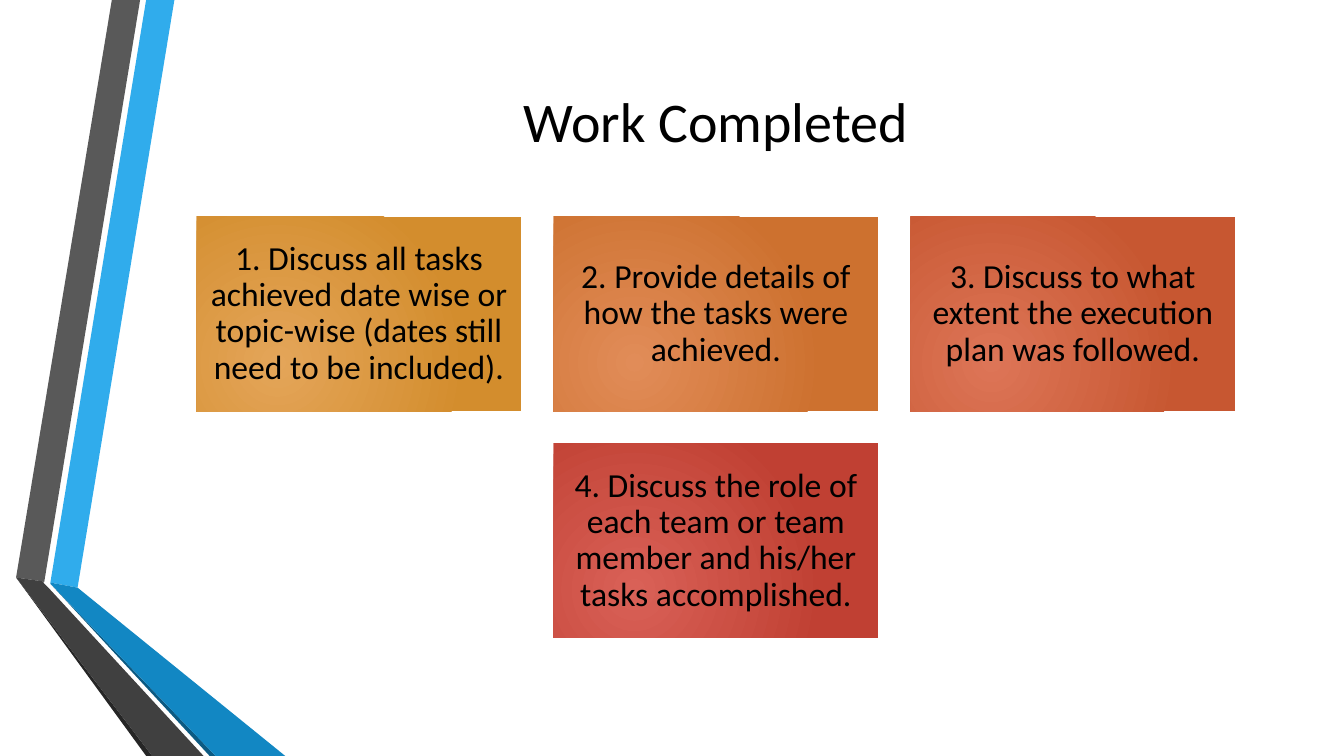
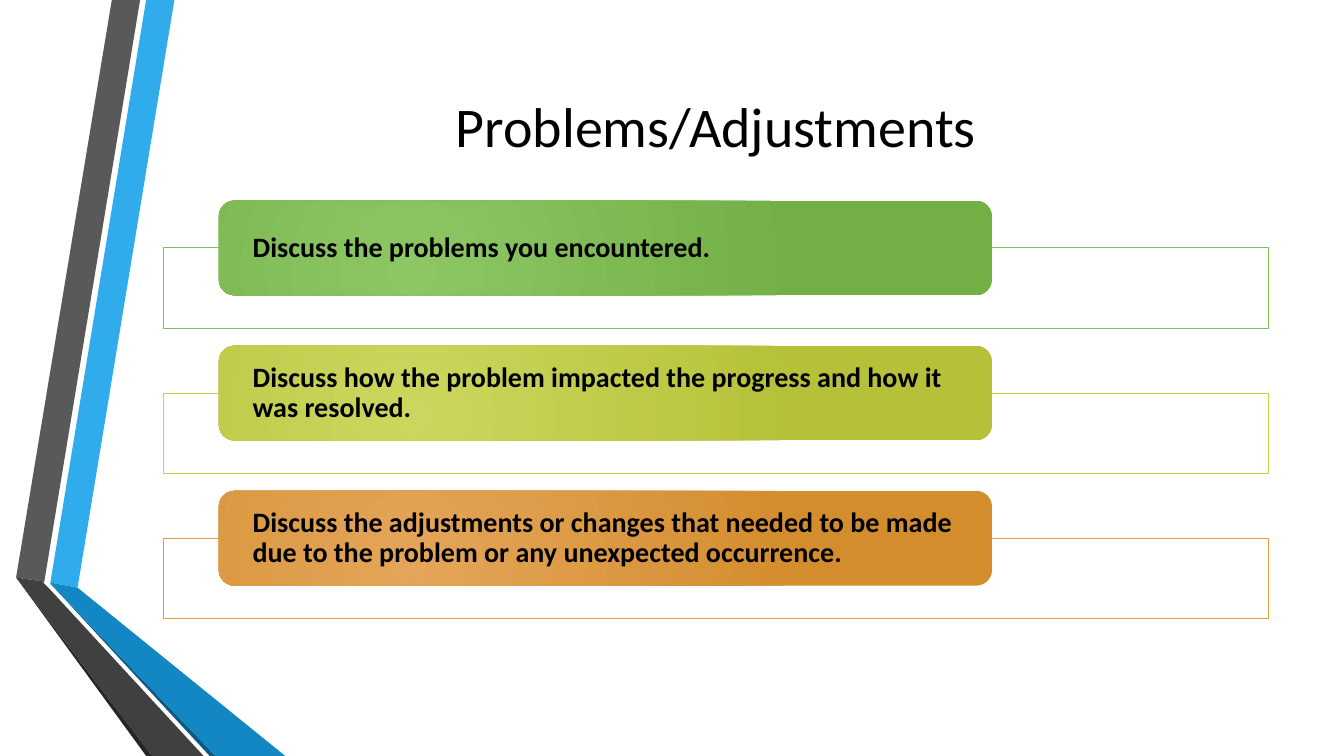
from lxml import etree
from pptx import Presentation
from pptx.dml.color import RGBColor
from pptx.enum.shapes import MSO_SHAPE as Shape
from pptx.enum.text import MSO_ANCHOR as Anchor, PP_ALIGN as Align
from pptx.oxml import parse_xml
from pptx.oxml.ns import nsdecls, qn
from pptx.util import Pt

PX = 9144
SLIDE_WIDTH, SLIDE_HEIGHT = 1333, 750
FONT = "Calibri"

BLACK = RGBColor(0x00, 0x00, 0x00)
WHITE = RGBColor(0xFF, 0xFF, 0xFF)
SKY = RGBColor(0x30, 0xAC, 0xEC)
BLUE = RGBColor(0x12, 0x87, 0xC3)
NAVY = RGBColor(0x0C, 0x5A, 0x82)
GREY = RGBColor(0x59, 0x59, 0x59)
DARK_GREY = RGBColor(0x40, 0x40, 0x40)
CHARCOAL = RGBColor(0x26, 0x26, 0x26)
GREEN_LINE = RGBColor(0x80, 0xC3, 0x4F)
LIME_LINE = RGBColor(0xC8, 0xD3, 0x46)
AMBER_LINE = RGBColor(0xE2, 0x9D, 0x3E)
GREEN = (RGBColor(0x8C, 0xC7, 0x64), RGBColor(0x72, 0xAF, 0x45))
LIME = (RGBColor(0xCC, 0xD6, 0x5E), RGBColor(0xB6, 0xC1, 0x39))
AMBER = (RGBColor(0xE4, 0xA5, 0x59), RGBColor(0xD3, 0x8D, 0x2D))
ORANGE = (RGBColor(0xE1, 0x8C, 0x58), RGBColor(0xCD, 0x71, 0x2F))
RUST = (RGBColor(0xDD, 0x75, 0x57), RGBColor(0xC7, 0x57, 0x31))
RED = (RGBColor(0xD9, 0x61, 0x57), RGBColor(0xC0, 0x40, 0x33))

RIBBONS = [
    (SKY, [(50, 578), (77, 583), (173, 0), (145, 0)]),
    (GREY, [(139, 0), (111, 0), (16, 573), (44, 577)]),
    (CHARCOAL, [(16, 573), (145, 750), (151, 750)]),
    (NAVY, [(50, 579), (208, 750), (214, 750)]),
    (BLUE, [(50, 579), (214, 750), (283, 750), (77, 583), (50, 578)]),
    (DARK_GREY, [(202, 750), (48, 583), (43, 578), (44, 577), (16, 573), (151, 750)]),
]

TASKS = [
    ("1. Discuss all tasks achieved date wise or topic-wise (dates still need to be included).", AMBER),
    ("2. Provide details of how the tasks were achieved.", ORANGE),
    ("3. Discuss to what extent the execution plan was followed.", RUST),
    ("4. Discuss the role of each team or team member and his/her tasks accomplished.", RED),
]

PROBLEMS = [
    ("Discuss the problems you encountered.", GREEN, GREEN_LINE),
    ("Discuss how the problem impacted the progress and how it was resolved.", LIME, LIME_LINE),
    ("Discuss the adjustments or changes that needed to be made due to the problem "
     "or any unexpected occurrence.", AMBER, AMBER_LINE),
]

CONTENT_LEFT, CONTENT_WIDTH = 162, 1096
CARD_WIDTH, CARD_HEIGHT, CARD_GAP, CARD_TOP, COLUMNS = 322, 193, 32, 215, 3
PANEL_TOP, PANEL_HEIGHT, PANEL_PITCH = 246, 80, 144
LABEL_LEFT, LABEL_WIDTH, LABEL_HEIGHT, LABEL_RISE = 217, 767, 94, 47


def px(*lengths):
    return [round(length * PX) for length in lengths]


def set_text(shape, text, size, align, inset, bold=False, spacing=1.0):
    frame = shape.text_frame
    frame.word_wrap = True
    frame.vertical_anchor = Anchor.MIDDLE
    frame.margin_left = frame.margin_right = inset[0] * PX
    frame.margin_top = frame.margin_bottom = inset[1] * PX
    frame.text = text
    paragraph = frame.paragraphs[0]
    paragraph.alignment = align
    paragraph.line_spacing = spacing
    font = paragraph.runs[0].font
    font.name, font.size, font.bold = FONT, Pt(size), bold
    font.color.rgb = BLACK


def add_box(slide, kind, left, top, width, height):
    shape = slide.shapes.add_shape(kind, *px(left, top, width, height))
    shape.shadow.inherit = False
    return shape


def add_glow_box(slide, kind, bounds, colours):
    shape = add_box(slide, kind, *bounds)
    shape.line.fill.background()
    shape.fill.gradient()
    for stop, colour in zip(shape.fill.gradient_stops, colours):
        stop.color.rgb = colour
    gradient = shape.element.spPr.find(qn("a:gradFill"))
    gradient.replace(gradient.find(qn("a:lin")), parse_xml(
        f'<a:path {nsdecls("a")} path="circle">'
        '<a:fillToRect l="50000" t="100000" r="100000" b="50000"/></a:path>'))
    return shape


def add_base_slide(presentation, title, title_height):
    slide = presentation.slides.add_slide(presentation.slide_layouts[6])
    for colour, (start, *corners) in RIBBONS:
        builder = slide.shapes.build_freeform(*start, scale=PX)
        builder.add_line_segments(corners, close=True)
        ribbon = builder.convert_to_shape()
        ribbon.shadow.inherit = False
        ribbon.fill.solid()
        ribbon.fill.fore_color.rgb = colour
        ribbon.line.fill.background()
    box = slide.shapes.add_textbox(*px(CONTENT_LEFT, 75, CONTENT_WIDTH, title_height))
    set_text(box, title, 40, Align.CENTER, (10, 5))
    return slide


def add_task_cards(slide):
    for row, first in enumerate(range(0, len(TASKS), COLUMNS)):
        tasks = TASKS[first:first + COLUMNS]
        row_width = len(tasks) * (CARD_WIDTH + CARD_GAP) - CARD_GAP
        row_left = CONTENT_LEFT + (CONTENT_WIDTH - row_width) // 2
        top = CARD_TOP + row * (CARD_HEIGHT + CARD_GAP)
        for column, (text, colours) in enumerate(tasks):
            left = row_left + column * (CARD_WIDTH + CARD_GAP)
            card = add_glow_box(slide, Shape.RECTANGLE, (left, top, CARD_WIDTH, CARD_HEIGHT), colours)
            set_text(card, text, 24, Align.CENTER, (10, 10), spacing=0.9)


def add_problem_rows(slide):
    for row, (text, colours, outline) in enumerate(PROBLEMS):
        top = PANEL_TOP + row * PANEL_PITCH
        panel = add_box(slide, Shape.RECTANGLE, CONTENT_LEFT, top, CONTENT_WIDTH, PANEL_HEIGHT)
        panel.fill.solid()
        panel.fill.fore_color.rgb = WHITE
        white = panel.element.spPr.find(qn("a:solidFill"))[0]
        etree.SubElement(white, qn("a:alpha"), val="90000")
        panel.line.color.rgb = outline
        panel.line.width = Pt(0.75)
        bounds = (LABEL_LEFT, top - LABEL_RISE, LABEL_WIDTH, LABEL_HEIGHT)
        label = add_glow_box(slide, Shape.ROUNDED_RECTANGLE, bounds, colours)
        set_text(label, text, 20, Align.LEFT, (29, 0), bold=True, spacing=0.9)


def main():
    presentation = Presentation()
    presentation.slide_width, presentation.slide_height = px(SLIDE_WIDTH, SLIDE_HEIGHT)
    add_task_cards(add_base_slide(presentation, "Work Completed", 88))
    add_problem_rows(add_base_slide(presentation, "Problems/Adjustments", 98))
    presentation.save("out.pptx")


if __name__ == "__main__":
    main()
